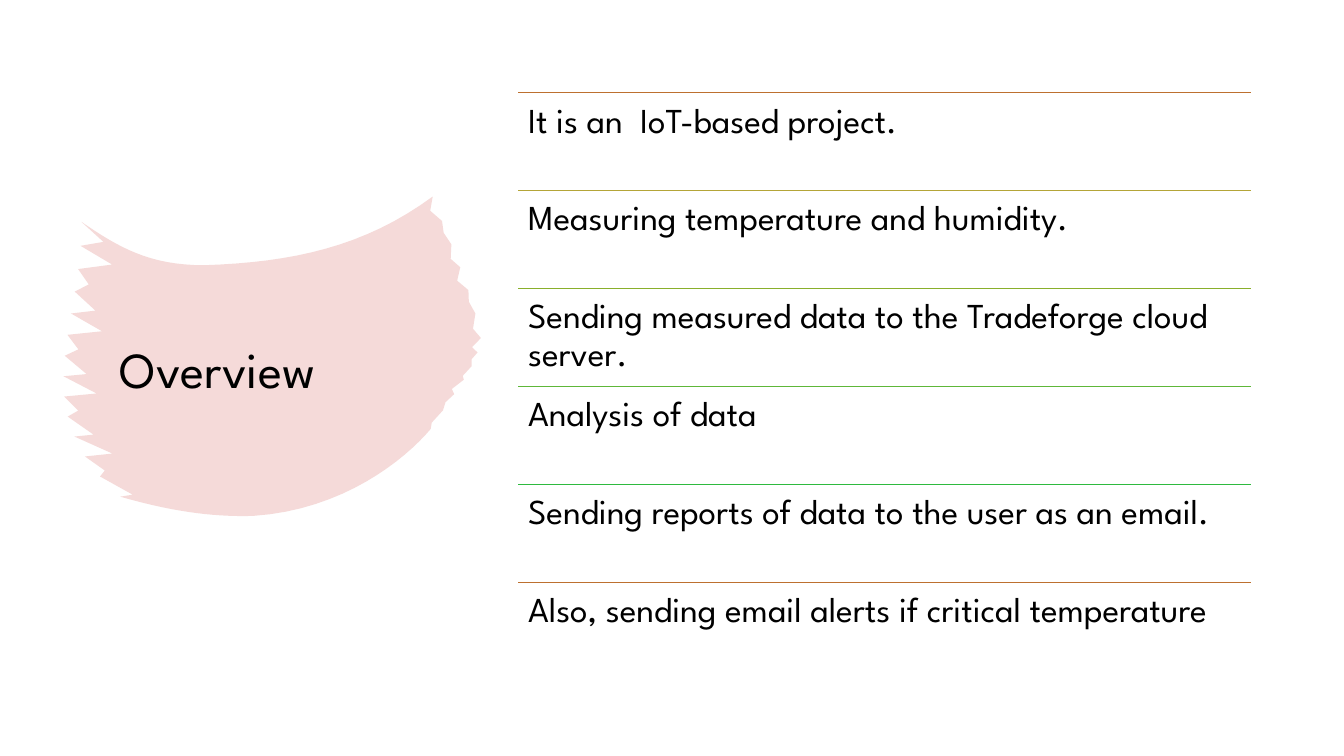
from itertools import cycle

from lxml import etree
from pptx import Presentation, util as u
from pptx.dml.color import RGBColor
from pptx.enum import shapes, text
from pptx.oxml.ns import qn

FONT = "League Spartan"
BLACK = RGBColor(0, 0, 0)
BRUSH = RGBColor(0xCF, 0x47, 0x41)
RUST = RGBColor(0xBD, 0x70, 0x2F)
OCHRE = RGBColor(0xB4, 0xA5, 0x38)
OLIVE = RGBColor(0x89, 0xAF, 0x2B)
LEAF = RGBColor(0x5E, 0xB7, 0x39)
GREEN = RGBColor(0x2E, 0xBA, 0x3F)
BRUSH_OPACITY = 20

BRUSH_BOX = (0.63, 1.95, 4.14, 3.17)
TITLE_BOX = (1.09, 2.87, 3.29, 1.64)
LIST_BOX = (5.14, 0.92, 7.27, 5.83)

TOP_LEFT, TOP_DIP, TOP_RIGHT = (0.24, 0.25), (1.44, 0.68), (3.67, 0)
RIGHT_BULGE, BOTTOM_RIGHT = (4.14, 1.4), (3.65, 2.3)
BOTTOM_DIP, BOTTOM_LEFT = (1.92, 3.16), (0.62, 2.97)
SMOOTH_STEPS, RIGHT_STEPS, LEFT_STEPS = 16, 6, 13
RIGHT_NOTCHES = [(-0.07, 0.02), (-0.03, 0), (-0.05, 0.03)]
LEFT_NOTCHES = [(0.22, 0.08), (0.12, 0.04), (0.32, 0.07)]

ITEMS = [
    ("It is an  IoT-based project.", RUST),
    ("Measuring temperature and humidity.", OCHRE),
    ("Sending measured data to the Tradeforge cloud server.", OLIVE),
    ("Analysis of data", LEAF),
    ("Sending reports of data to the user as an email.", GREEN),
    ("Also, sending email alerts if critical temperature", RUST),
]


def set_values(target, values):
    """Set each named attribute of the target."""
    for name, value in values.items():
        setattr(target, name, value)


def place(shape, box):
    """Move and size a shape to a box in inches."""
    names = ("left", "top", "width", "height")
    set_values(shape, dict(zip(names, map(u.Inches, box))))


def curve(start, pull_start, pull_end, end, steps=SMOOTH_STEPS):
    """Return points along a cubic curve, from start to end."""
    points = []
    for index in range(steps + 1):
        t = index / steps
        weights = ((1 - t) ** 3, 3 * t * (1 - t) ** 2, 3 * t * t * (1 - t), t ** 3)
        controls = (start, pull_start, pull_end, end)
        points.append(tuple(
            sum(weight * control[axis] for weight, control in zip(weights, controls))
            for axis in (0, 1)))
    return points


def fray(points, notches):
    """Cut a notch between each two neighbouring points of an edge."""
    frayed = []
    for (x1, y1), (x2, y2), (dx, dy) in zip(points, points[1:], cycle(notches)):
        frayed += [(x1, y1), ((x1 + x2) / 2 + dx, (y1 + y2) / 2 + dy)]
    return frayed + points[-1:]


def brush_outline():
    """Join smooth long edges and frayed ends, clockwise from the top left."""
    top = (curve(TOP_LEFT, (0.6, 0.5), (0.9, 0.68), TOP_DIP)
           + curve(TOP_DIP, (2.3, 0.65), (3, 0.5), TOP_RIGHT))
    right = (curve(TOP_RIGHT, (3.85, 0.5), (4.05, 0.9), RIGHT_BULGE, RIGHT_STEPS)
             + curve(RIGHT_BULGE, (4.1, 1.7), (3.9, 1.9), BOTTOM_RIGHT, RIGHT_STEPS)[1:])
    bottom = (curve(BOTTOM_RIGHT, (3.4, 2.6), (2.8, 3.1), BOTTOM_DIP)
              + curve(BOTTOM_DIP, (1.6, 3.17), (1.2, 3.14), BOTTOM_LEFT))
    left = curve(BOTTOM_LEFT, (-0.35, 2.1), (0.25, 1.3), TOP_LEFT, LEFT_STEPS)
    return top + fray(right, RIGHT_NOTCHES) + bottom + fray(left, LEFT_NOTCHES)


def write_text(shape, words, size, anchor):
    """Write one left-aligned paragraph in a shape."""
    frame = shape.text_frame
    set_values(frame, {"word_wrap": True, "auto_size": text.MSO_AUTO_SIZE.NONE,
                       "vertical_anchor": anchor})
    paragraph = frame.paragraphs[0]
    set_values(paragraph, {"alignment": text.PP_ALIGN.LEFT, "line_spacing": 0.9})
    run = paragraph.add_run()
    run.text = words
    set_values(run.font, {"name": FONT, "size": u.Pt(size)})
    run.font.color.rgb = BLACK
    return frame


def add_brush(slide, box):
    """Draw the translucent brush stroke behind the title."""
    points = [(u.Inches(x), u.Inches(y)) for x, y in brush_outline()]
    builder = slide.shapes.build_freeform(*points[0])
    builder.add_line_segments(points[1:], close=True)
    brush = builder.convert_to_shape()
    place(brush, box)
    brush.shadow.inherit = False
    brush.line.fill.background()
    brush.fill.solid()
    brush.fill.fore_color.rgb = BRUSH
    color = brush.element.spPr.find(qn("a:solidFill"))[0]
    etree.SubElement(color, qn("a:alpha"), val=str(BRUSH_OPACITY * 1000))
    slide.shapes.title.element.addprevious(brush.element)


def add_title(slide, box):
    """Place and format the title."""
    title = slide.shapes.title
    place(title, box)
    write_text(title, "Overview", 36, text.MSO_ANCHOR.MIDDLE)


def add_list(slide, box):
    """Stack the items in equal rows, each under a coloured rule."""
    left, top, width, height = box
    row_height = height / len(ITEMS)
    for index, (words, color) in enumerate(ITEMS):
        y = top + index * row_height
        ends = map(u.Inches, (left, y, left + width, y))
        rule = slide.shapes.add_connector(shapes.MSO_CONNECTOR.STRAIGHT, *ends)
        rule.line.color.rgb = color
        rule.line.width = u.Pt(1)
        etree.SubElement(rule.element.spPr, qn("a:effectLst"))
        row = map(u.Inches, (left, y, width, row_height))
        frame = write_text(slide.shapes.add_textbox(*row), words, 25, text.MSO_ANCHOR.TOP)
        sides = ("left", "top", "right", "bottom")
        set_values(frame, {f"margin_{side}": u.Inches(0.1) for side in sides})


def main():
    """Build and save the overview slide."""
    presentation = Presentation()
    set_values(presentation, {"slide_width": u.Inches(13.33), "slide_height": u.Inches(7.5)})
    slide = presentation.slides.add_slide(presentation.slide_layouts[5])
    add_title(slide, TITLE_BOX)
    add_brush(slide, BRUSH_BOX)
    add_list(slide, LIST_BOX)
    presentation.save("out.pptx")


if __name__ == "__main__":
    main()
